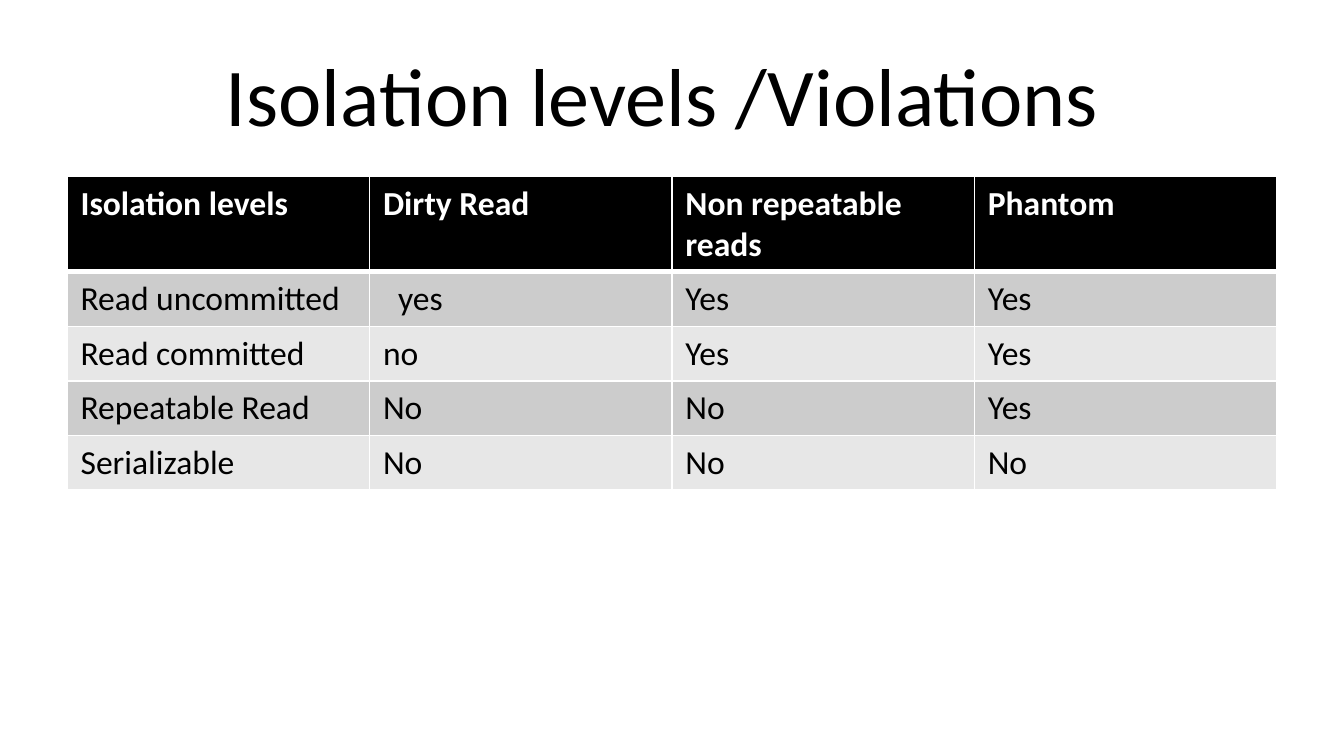
import dataclasses

import lxml.etree
import pptx
import pptx.dml.color
import pptx.enum.text
import pptx.oxml.ns
import pptx.util


@dataclasses.dataclass(frozen=True)
class Theme:
    font: str = "Calibri"
    title_size: int = 44
    table_size: int = 18
    black: str = "000000"
    white: str = "FFFFFF"
    bands: tuple = ("CCCCCC", "E7E7E7")
    thin: int = 1
    thick: int = 3


class SlideBuilder:
    def __init__(self, page, theme):
        self.page = page
        self.theme = theme

    def style_font(self, font, size, color, bold=False):
        formats = {"name": self.theme.font, "size": pptx.util.Pt(size), "bold": bold}
        for name, value in formats.items():
            setattr(font, name, value)
        font.color.rgb = pptx.dml.color.RGBColor.from_string(color)

    def title(self, text, left, top, width, height):
        box = self.page.shapes.title
        bounds = {"left": left, "top": top, "width": width, "height": height}
        for name, value in bounds.items():
            setattr(box, name, pptx.util.Pt(value))
        frame = box.text_frame
        frame.text = text
        frame.word_wrap = True
        frame.vertical_anchor = pptx.enum.text.MSO_ANCHOR.MIDDLE
        para = frame.paragraphs[0]
        para.alignment = pptx.enum.text.PP_ALIGN.CENTER
        self.style_font(para.runs[0].font, self.theme.title_size, self.theme.black)

    def border(self, cell, side, weight):
        qualify = pptx.oxml.ns.qn
        line = lxml.etree.SubElement(
            cell._tc.get_or_add_tcPr(), qualify(f"a:ln{side}"), w=str(pptx.util.Pt(weight))
        )
        fill = lxml.etree.SubElement(line, qualify("a:solidFill"))
        lxml.etree.SubElement(fill, qualify("a:srgbClr"), val=self.theme.white)

    def cell(self, cell, text, row):
        theme = self.theme
        header = row == 0
        weights = {
            "L": theme.thin,
            "R": theme.thin,
            "T": theme.thick if row == 1 else theme.thin,
            "B": theme.thick if header else theme.thin,
        }
        for side, weight in weights.items():
            self.border(cell, side, weight)
        color = theme.black if header else theme.bands[(row - 1) % len(theme.bands)]
        cell.fill.solid()
        cell.fill.fore_color.rgb = pptx.dml.color.RGBColor.from_string(color)
        cell.text = text
        span = cell.text_frame.paragraphs[0].runs[0]
        self.style_font(
            span.font, theme.table_size, theme.white if header else theme.black, header
        )

    def table(self, rows, left, top, width, header_height, row_height):
        heights = [header_height] + [row_height] * (len(rows) - 1)
        bounds = [pptx.util.Pt(value) for value in (left, top, width, sum(heights))]
        table = self.page.shapes.add_table(len(rows), len(rows[0]), *bounds).table
        table.horz_banding = False
        for row, (texts, height) in enumerate(zip(rows, heights)):
            table.rows[row].height = pptx.util.Pt(height)
            for column, text in enumerate(texts):
                self.cell(table.cell(row, column), text, row)
        return table


def main():
    deck = pptx.Presentation()
    deck.slide_width = pptx.util.Pt(720)
    deck.slide_height = pptx.util.Pt(405)
    page = deck.slides.add_slide(deck.slide_layouts.get_by_name("Title Only"))
    builder = SlideBuilder(page, Theme())
    builder.title("Isolation levels /Violations ", 36, 16.5, 648, 67.5)
    violations = [
        ("Isolation levels", "Dirty Read", "Non repeatable reads", "Phantom"),
        ("Read uncommitted", "yes", "Yes", "Yes"),
        ("Read committed", "no", "Yes", "Yes"),
        ("Repeatable Read", "No", "No", "Yes"),
        ("Serializable", "No", "No", "No"),
    ]
    table = builder.table(violations, 36, 94.5, 648, 50.4, 29.2)
    table.cell(1, 1).margin_left = pptx.util.Pt(15.3)
    deck.save("out.pptx")


if __name__ == "__main__":
    main()
